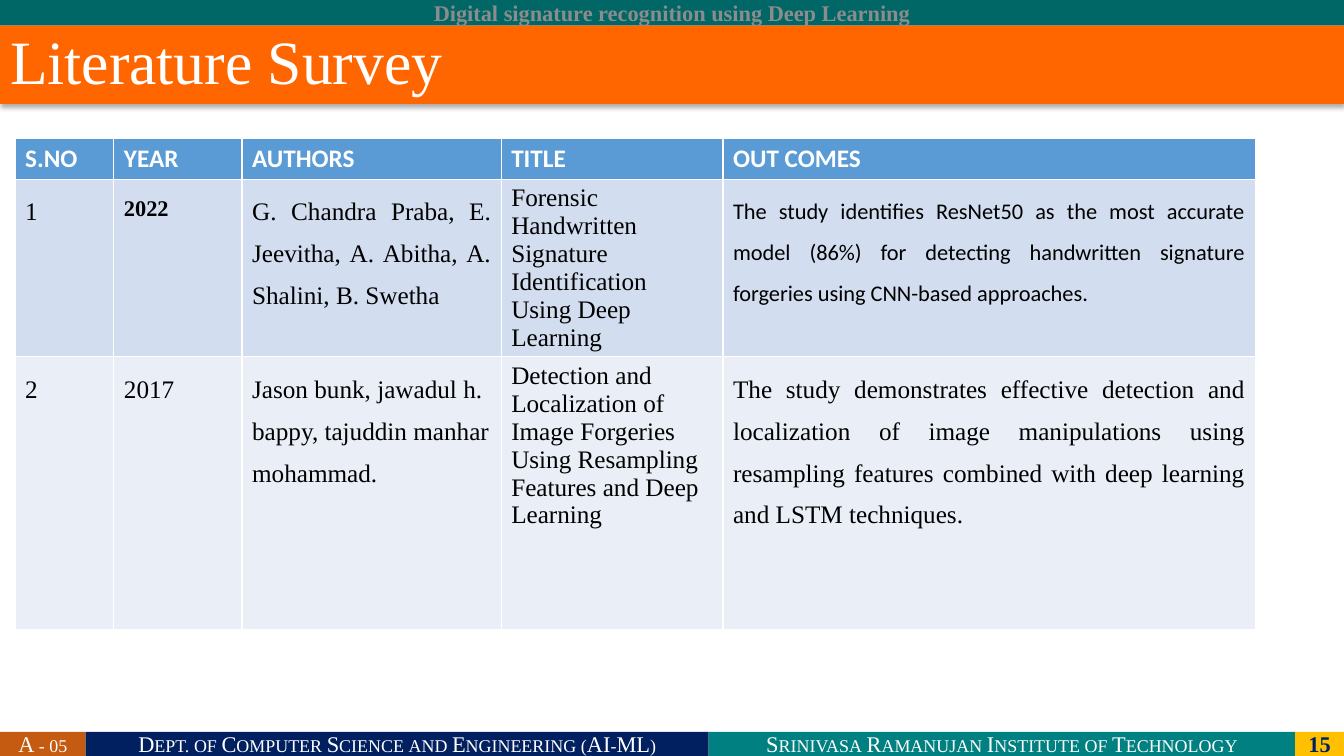
from lxml.etree import SubElement
from pptx import Presentation
from pptx.dml.color import RGBColor
from pptx.enum.shapes import MSO_SHAPE
from pptx.enum.text import MSO_ANCHOR, MSO_AUTO_SIZE, PP_ALIGN
from pptx.oxml.ns import qn
from pptx.util import Cm, Pt

SERIF = "Times New Roman"
SANS = "Calibri"
WIDTH, HEIGHT = 33.87, 19.05


def colour(value):
    return RGBColor.from_string(value)


def apply(target, values):
    for name, value in values.items():
        setattr(target, name, value)


class SlideBuilder:
    style = {"name": SERIF, "size": 18, "bold": False, "color": "000000"}

    def __init__(self, page):
        self.page = page

    def add_text(self, para, text, align=PP_ALIGN.LEFT, spacing=None, small_caps=False, **changes):
        font = {**self.style, **changes}
        apply(para, {"alignment": align, "line_spacing": spacing})
        span = para.add_run()
        span.text = text
        span.font.color.rgb = colour(font.pop("color"))
        font["size"] = Pt(font["size"])
        apply(span.font, font)
        if small_caps:
            span.font._element.set("cap", "small")

    def place(self, shape, left, top, width, height):
        apply(shape, {"left": Cm(left), "top": Cm(top), "width": Cm(width), "height": Cm(height)})

    def fill(self, target, value):
        target.fill.solid()
        target.fill.fore_color.rgb = colour(value)

    def title(self, text, area, fill):
        box = self.page.shapes.title
        self.place(box, *area)
        self.fill(box, fill)
        frame = box.text_frame
        apply(frame, {"vertical_anchor": MSO_ANCHOR.MIDDLE, "word_wrap": True,
                      "auto_size": MSO_AUTO_SIZE.NONE})
        self.add_text(frame.paragraphs[0], text, PP_ALIGN.JUSTIFY, 0.9, size=44, color="FFFFFF")
        effects = SubElement(box._element.spPr, qn("a:effectLst"))
        shadow = SubElement(effects, qn("a:outerShdw"), blurRad=str(Pt(3.5)), dist=str(Pt(2.2)),
                            dir="5400000", algn="t", rotWithShape="0")
        black = SubElement(shadow, qn("a:srgbClr"), val="000000")
        SubElement(black, qn("a:alpha"), val="32000")

    def band(self, text, area, fill, **font):
        box = self.page.shapes.add_shape(MSO_SHAPE.RECTANGLE, *map(Cm, area))
        box.shadow.inherit = False
        self.fill(box, fill)
        box.line.fill.background()
        apply(box.text_frame, {"vertical_anchor": MSO_ANCHOR.MIDDLE, "word_wrap": True})
        self.add_text(box.text_frame.paragraphs[0], text, PP_ALIGN.CENTER, size=16, **font)

    def table(self, left, top, widths, heights, rows, fills):
        grid = self.page.shapes.add_table(len(rows), len(widths), Cm(left), Cm(top),
                                          Cm(sum(widths)), Cm(sum(heights))).table
        for column, width in zip(grid.columns, widths):
            column.width = Cm(width)
        for row, height, texts, fill in zip(grid.rows, heights, rows, fills):
            row.height = Cm(height)
            for cell, (text, settings) in zip(row.cells, texts):
                self.fill(cell, fill)
                frame = cell.text_frame
                for number, line in enumerate(text.split("\n")):
                    para = frame.add_paragraph() if number else frame.paragraphs[0]
                    self.add_text(para, line, **settings)


def main():
    deck = Presentation()
    apply(deck, {"slide_width": Cm(WIDTH), "slide_height": Cm(HEIGHT)})
    slide = SlideBuilder(deck.slides.add_slide(deck.slide_layouts[5]))

    slide.band("Digital signature recognition using Deep Learning", (0, 0, WIDTH, 0.64),
               "006666", bold=True, color="8C8C8C")
    slide.title("Literature Survey", (0, 0.64, WIDTH, 1.98), "FF6600")

    caps = {"small_caps": True, "color": "FFFFFF"}
    footer = [
        ("A - 05", 2.16, "C55A11", caps),
        ("Dept. of Computer Science and Engineering (AI-ML)", 15.7, "002060", caps),
        ("Srinivasa Ramanujan Institute of Technology", 14.78, "008080", caps),
        ("15", 1.23, "FFC000", {"bold": True, "color": "002060"}),
    ]
    left = 0
    for text, width, fill, font in footer:
        slide.band(text, (left, 18.44, width, 0.61), fill, **font)
        left += width

    heading = {"name": SANS, "bold": True, "color": "FFFFFF"}
    plain = {}
    loose = {"spacing": 1.5}
    justified = {**loose, "align": PP_ALIGN.JUSTIFY}
    rows = [
        [(name, heading) for name in ("S.NO", "YEAR", "AUTHORS", "TITLE", "OUT COMES")],
        [
            ("1", justified),
            ("2022", {**justified, "size": 16, "bold": True}),
            ("G. Chandra Praba, E. Jeevitha, A. Abitha, A. Shalini, B. Swetha", justified),
            ("Forensic Handwritten Signature Identification\nUsing Deep Learning", plain),
            ("The study identifies ResNet50 as the most accurate model (86%) for detecting "
             "handwritten signature forgeries using CNN-based approaches.",
             {**justified, "name": SANS, "size": 16}),
        ],
        [
            ("2", justified),
            ("2017", justified),
            ("Jason bunk, jawadul h. bappy, tajuddin manhar mohammad.", loose),
            ("Detection and Localization of Image Forgeries Using Resampling Features "
             "and Deep Learning", plain),
            ("The study demonstrates effective detection and localization of image manipulations "
             "using resampling features combined with deep learning and LSTM techniques.",
             justified),
        ],
    ]
    slide.table(0.38, 3.48, [2.49, 3.23, 6.53, 5.59, 13.41], [1.04, 4.45, 6.88], rows,
                ["5B9BD5", "D2DEEF", "EAEFF7"])
    deck.save("out.pptx")


if __name__ == "__main__":
    main()
